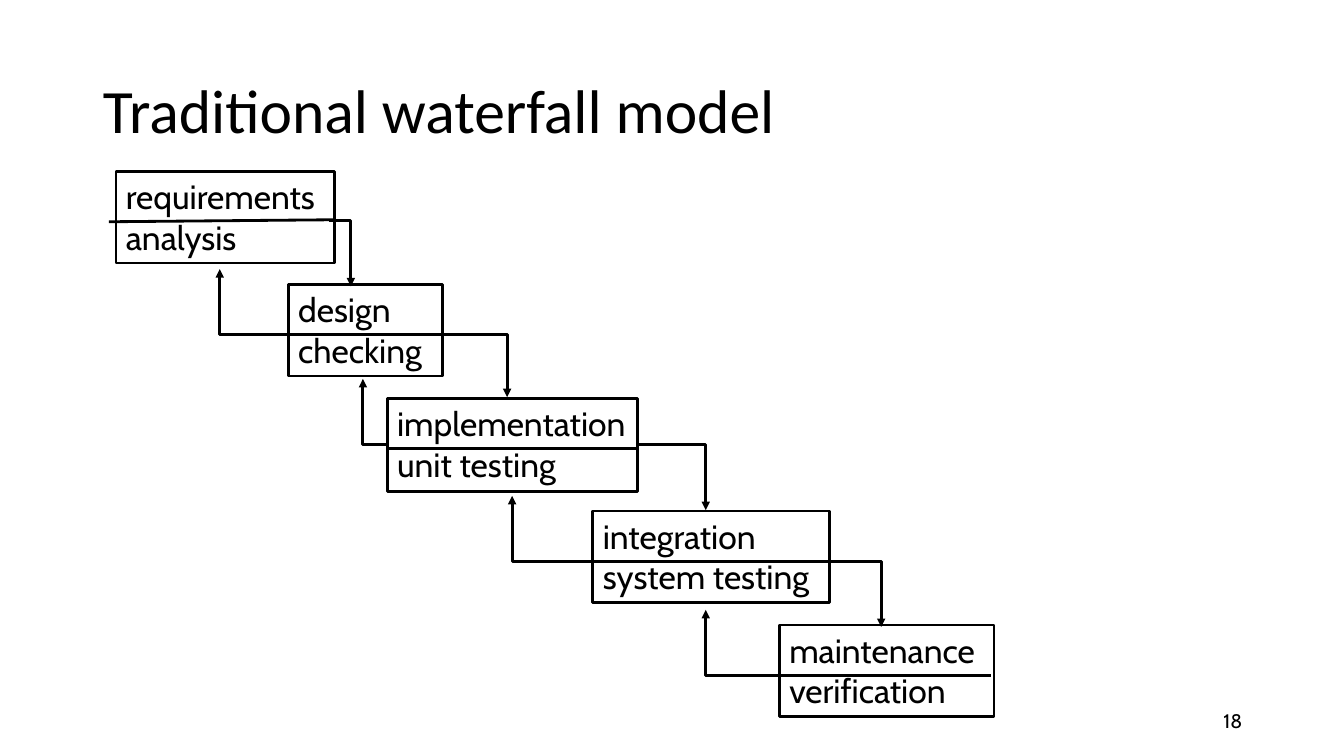
from dataclasses import dataclass

from lxml.etree import SubElement
from pptx import Presentation
from pptx.dml.color import RGBColor
from pptx.enum.shapes import MSO_CONNECTOR, MSO_SHAPE
from pptx.enum.text import MSO_ANCHOR, MSO_AUTO_SIZE, PP_ALIGN
from pptx.oxml.ns import qn
from pptx.util import Inches, Pt


@dataclass(frozen=True)
class Theme:
    ink: RGBColor = RGBColor(0, 0, 0)
    paper: RGBColor = RGBColor(255, 255, 255)
    heading_font: str = "Calibri"
    body_font: str = "Cabin"
    heading_size: int = 44
    stage_size: int = 24
    number_size: int = 14
    line_width: int = 2


class SlideBuilder:
    def __init__(self, slide, theme):
        self.slide = slide
        self.theme = theme
        slide.background.fill.solid()
        slide.background.fill.fore_color.rgb = theme.paper

    def add_words(self, paragraph, text, size, font):
        run = paragraph.add_run()
        run.text = text
        run.font.size = Pt(size)
        run.font.name = font
        run.font.color.rgb = self.theme.ink

    def title(self, text, left, top, width, height):
        heading = self.slide.shapes.title
        heading.left, heading.top = Inches(left), Inches(top)
        heading.width, heading.height = Inches(width), Inches(height)
        frame = heading.text_frame
        frame.vertical_anchor = MSO_ANCHOR.MIDDLE
        paragraph = frame.paragraphs[0]
        paragraph.alignment = PP_ALIGN.LEFT
        paragraph.line_spacing = 0.9
        self.add_words(paragraph, text, self.theme.heading_size, self.theme.heading_font)

    def page_number(self, text, left, top, width, height):
        number = self.slide.shapes.add_textbox(
            Inches(left), Inches(top), Inches(width), Inches(height))
        frame = number.text_frame
        frame.word_wrap = True
        frame.vertical_anchor = MSO_ANCHOR.MIDDLE
        frame.paragraphs[0].alignment = PP_ALIGN.RIGHT
        self.add_words(frame.paragraphs[0], text, self.theme.number_size, self.theme.body_font)

    def stage(self, activity, check, left, top, width, height):
        box = self.slide.shapes.add_shape(
            MSO_SHAPE.RECTANGLE, Inches(left), Inches(top), Inches(width), Inches(height))
        box.shadow.inherit = False
        box.fill.background()
        box.line.color.rgb = self.theme.ink
        box.line.width = Pt(self.theme.line_width)
        frame = box.text_frame
        frame.word_wrap = False
        frame.auto_size = MSO_AUTO_SIZE.SHAPE_TO_FIT_TEXT
        frame.vertical_anchor = MSO_ANCHOR.TOP
        paragraph = frame.paragraphs[0]
        paragraph.alignment = PP_ALIGN.LEFT
        self.add_words(paragraph, activity, self.theme.stage_size, self.theme.body_font)
        paragraph.add_line_break()
        self.add_words(paragraph, check, self.theme.stage_size, self.theme.body_font)

    def line(self, start, end, kind=MSO_CONNECTOR.STRAIGHT):
        connector = self.slide.shapes.add_connector(
            kind, *(Inches(value) for value in (*start, *end)))
        connector.line.color.rgb = self.theme.ink
        connector.line.width = Pt(self.theme.line_width)
        SubElement(connector._element.spPr, qn("a:effectLst"))
        return connector

    def arrow(self, start, end):
        connector = self.line(start, end, MSO_CONNECTOR.ELBOW)
        properties = connector._element.spPr
        properties.find(qn("a:prstGeom")).set("prst", "bentConnector2")
        SubElement(properties.find(qn("a:ln")), qn("a:tailEnd"), type="triangle")


STAGES = [
    ("requirements", "analysis", (1.15, 1.7, 2.17, 0.91), (1.08, 2.2), (3.33, 2.18)),
    ("design", "checking", (2.86, 2.82, 1.53, 0.91), (2.79, 3.32), (4.42, 3.32)),
    ("implementation", "unit testing", (3.84, 3.95, 2.48, 0.93), (3.83, 4.45), (6.33, 4.45)),
    ("integration", "system testing", (5.88, 5.07, 2.35, 0.91), (5.74, 5.57), (8.25, 5.57)),
    ("maintenance", "verification", (7.73, 6.2, 2.13, 0.91), (7.68, 6.7), (9.83, 6.7)),
]
FORWARD = [
    ((3.26, 2.19), (3.48, 2.84)),
    ((4.37, 3.32), (5.03, 3.94)),
    ((6.33, 4.41), (7, 5.06)),
    ((8.12, 5.57), (8.74, 6.22)),
]
FEEDBACK = [
    ((2.82, 3.32), (2.18, 2.67)),
    ((3.83, 4.41), (3.6, 3.76)),
    ((5.86, 5.57), (5.08, 4.92)),
    ((7.72, 6.7), (7, 6.05)),
]


def main():
    deck = Presentation()
    deck.slide_width, deck.slide_height = Inches(13.33), Inches(7.5)
    builder = SlideBuilder(deck.slides.add_slide(deck.slide_layouts[5]), Theme())
    builder.title("Traditional waterfall model", 0.92, 0.4, 11.5, 1.45)
    builder.page_number("18", 9.42, 6.95, 3, 0.4)
    for activity, check, bounds, divider_start, divider_end in STAGES:
        builder.stage(activity, check, *bounds)
        builder.line(divider_start, divider_end)
    for start, end in FORWARD + FEEDBACK:
        builder.arrow(start, end)
    deck.save("out.pptx")


if __name__ == "__main__":
    main()
